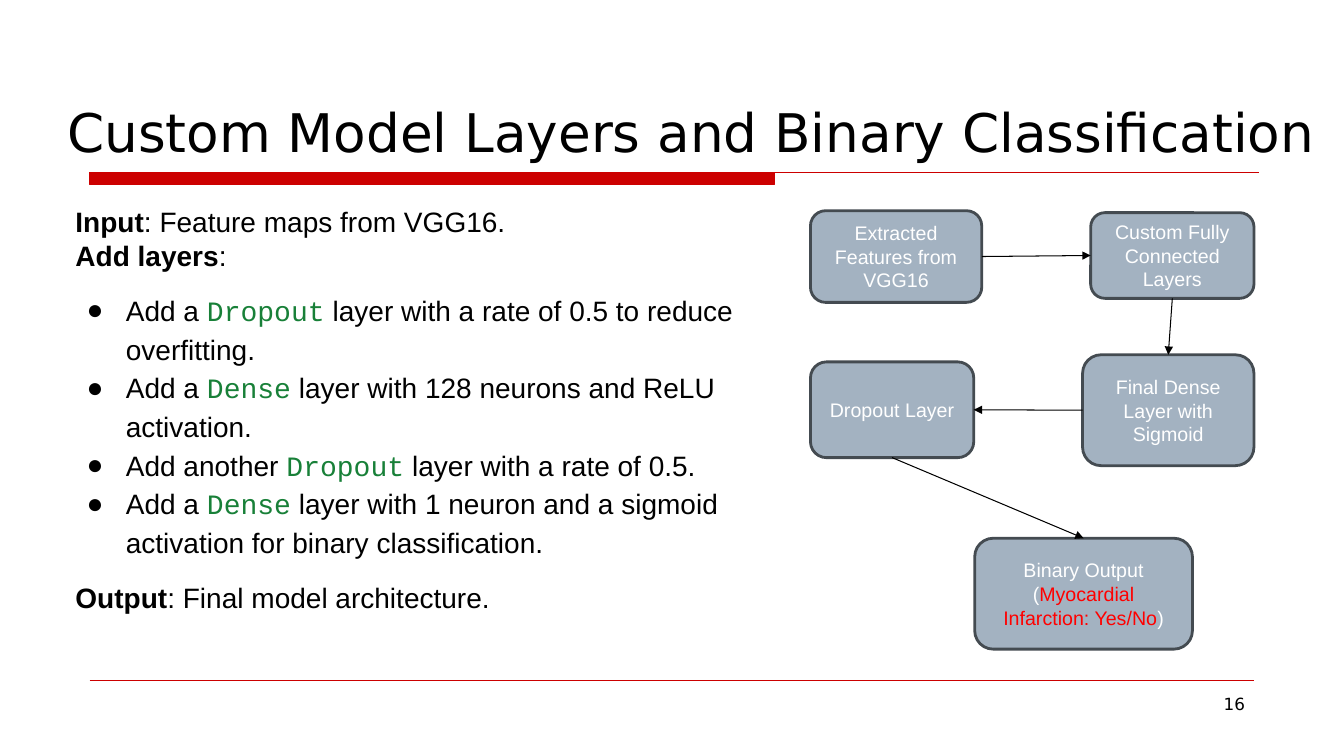
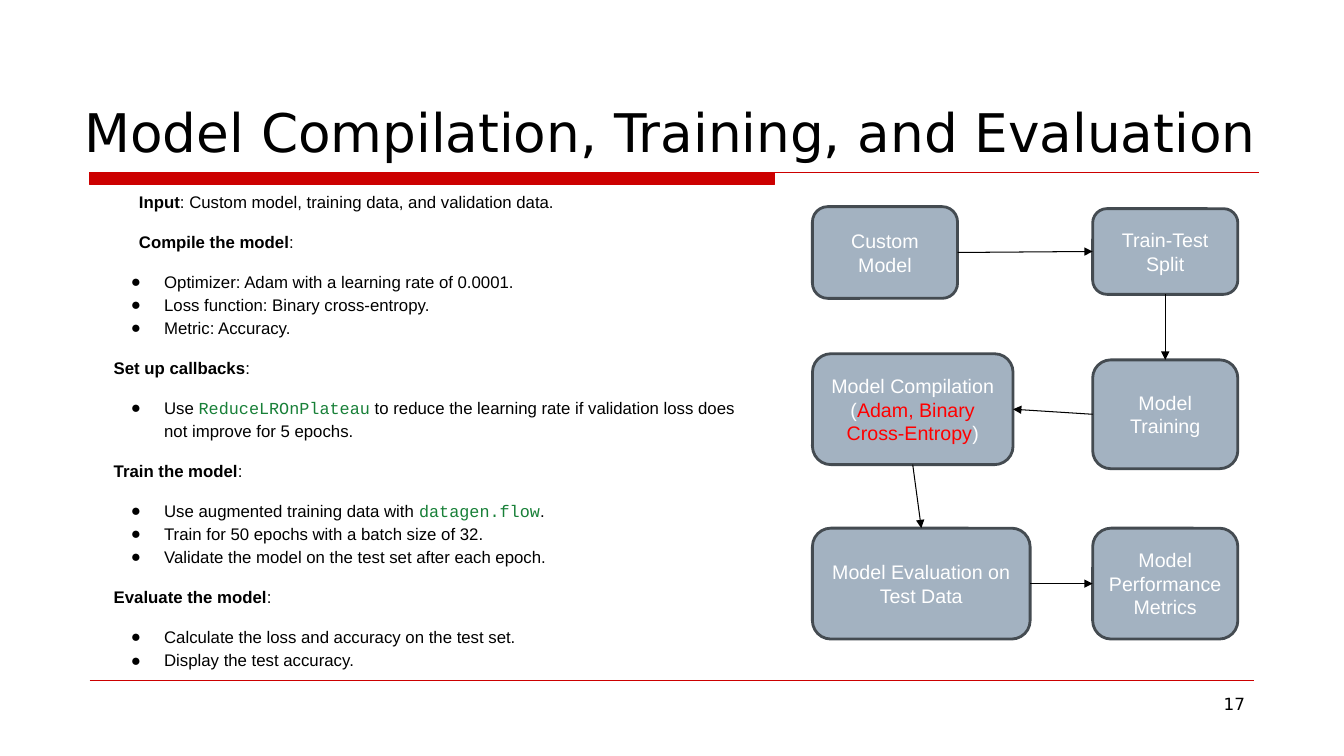
from dataclasses import dataclass
from enum import Enum
from typing import NamedTuple

from lxml import etree
from pptx import Presentation
from pptx import util as u
from pptx.dml.color import RGBColor
from pptx.enum import shapes, text
from pptx.oxml.ns import qn

CELL = u.Inches(0.1)
COLUMNS, ROWS = 133.33, 75
BLACK = RGBColor(0x00, 0x00, 0x00)
WHITE = RGBColor(0xFF, 0xFF, 0xFF)
BAND_RED = RGBColor(0xCC, 0x00, 0x00)
ALERT_RED = RGBColor(0xFF, 0x00, 0x00)
CODE_GREEN = RGBColor(0x18, 0x80, 0x38)
NODE_FILL = RGBColor(0xA3, 0xB2, 0xC1)
NODE_LINE = RGBColor(0x44, 0x4B, 0x51)
TITLE_FONT, BODY_FONT, CODE_FONT = "DejaVu Sans", "Arial", "Courier New"
TOP, LEFT, BOTTOM, RIGHT = range(4)
FIRST_NUMBER = 16


class Style(Enum):
    PLAIN = "plain"
    STRONG = "strong"
    CODE = "code"
    ALERT = "alert"


class Box(NamedTuple):
    column: float
    row: float
    columns: float
    rows: float


class Span(NamedTuple):
    text: str
    style: Style = Style.PLAIN


@dataclass(frozen=True)
class Line:
    spans: tuple[Span, ...]
    before: float = 0
    spacing: float = 1.15
    hanging: float = 0
    bulleted: bool = False


@dataclass(frozen=True)
class Node:
    box: Box
    spans: tuple[Span, ...]


class Arrow(NamedTuple):
    start: int
    start_side: int
    end: int
    end_side: int


@dataclass(frozen=True)
class Page:
    title: str
    title_column: float
    body: Box
    size: float
    lines: tuple[Line, ...]
    nodes: tuple[Node, ...]
    arrows: tuple[Arrow, ...]


def cells(count: float) -> int:
    return round(count * CELL)


def place(box: Box) -> list[int]:
    return [cells(length) for length in box]


def code(words: str) -> Span:
    return Span(words, Style.CODE)


def label(name: str, rest: str = ":", **layout) -> Line:
    return Line((Span(name, Style.STRONG), Span(rest)), **layout)


def bullets(hanging: float, *items: tuple[Span, ...]) -> tuple[Line, ...]:
    return tuple(
        Line(spans, before=0 if index else 12, hanging=hanging, bulleted=True)
        for index, spans in enumerate(items)
    )


def node(column: float, row: float, columns: float, rows: float,
         words: str, alert: str = "") -> Node:
    spans = (Span(words),)
    if alert:
        spans += (Span(alert, Style.ALERT), Span(")"))
    return Node(Box(column, row, columns, rows), spans)


def format_run(run, size: float, color: RGBColor, font: str) -> None:
    run.font.size = u.Pt(size)
    run.font.name = font
    run.font.color.rgb = color


def write_spans(paragraph, spans: tuple[Span, ...], size: float, color: RGBColor) -> None:
    colors = {Style.CODE: CODE_GREEN, Style.ALERT: ALERT_RED}
    for span in spans:
        run = paragraph.add_run()
        run.text = span.text
        font = CODE_FONT if span.style is Style.CODE else BODY_FONT
        format_run(run, size, colors.get(span.style, color), font)
        run.font.bold = span.style is Style.STRONG


def add_bullet(paragraph) -> None:
    properties = paragraph._p.get_or_add_pPr()
    color = etree.SubElement(properties, qn("a:buClr"))
    etree.SubElement(color, qn("a:srgbClr"), val=str(BLACK))
    etree.SubElement(properties, qn("a:buFont"), typeface=BODY_FONT)
    etree.SubElement(properties, qn("a:buChar"), char="●")


def add_line(slide, color: RGBColor, start: tuple[float, float] = (0, 0),
             end: tuple[float, float] = (0, 0)):
    connector = slide.shapes.add_connector(
        shapes.MSO_CONNECTOR.STRAIGHT, *map(cells, start + end))
    connector.line.color.rgb = color
    connector.line.width = u.Pt(0.75)
    etree.SubElement(connector._element.spPr, qn("a:effectLst"))
    return connector


def add_caption(slide, box: Box, words: str, size: float, anchor, alignment) -> None:
    frame = slide.shapes.add_textbox(*place(box)).text_frame
    frame.word_wrap = True
    frame.vertical_anchor = anchor
    frame.text = words
    paragraph = frame.paragraphs[0]
    paragraph.alignment = alignment
    format_run(paragraph.runs[0], size, BLACK, TITLE_FONT)


def add_shape(slide, kind, box: Box, fill: RGBColor, line: RGBColor, width: float):
    shape = slide.shapes.add_shape(kind, *place(box))
    shape.shadow.inherit = False
    shape.fill.solid()
    shape.fill.fore_color.rgb = fill
    shape.line.color.rgb = line
    shape.line.width = u.Pt(width)
    return shape


def add_frame(slide, page: Page, number: int) -> None:
    band = Box(8.9, 17.1, 67.9, 1.2)
    add_shape(slide, shapes.MSO_SHAPE.RECTANGLE, band, BAND_RED, BAND_RED, 0.75)
    add_line(slide, BAND_RED, (8.9, 17.1), (124.9, 17.1))
    add_line(slide, BAND_RED, (8.9, 67.5), (124.4, 67.5))
    title = Box(page.title_column, 3.4, COLUMNS - page.title_column, 13.3)
    add_caption(slide, title, page.title, 38,
                text.MSO_ANCHOR.BOTTOM, text.PP_ALIGN.LEFT)
    add_caption(slide, Box(95.6, 68.3, 28.9, 5.2), str(number), 12,
                text.MSO_ANCHOR.TOP, text.PP_ALIGN.RIGHT)


def add_body(slide, page: Page) -> None:
    frame = slide.shapes.add_textbox(*place(page.body)).text_frame
    frame.word_wrap = True
    for index, line in enumerate(page.lines):
        paragraph = frame.add_paragraph() if index else frame.paragraphs[0]
        paragraph.line_spacing = line.spacing
        paragraph.space_before = u.Pt(line.before)
        if line.hanging:
            properties = paragraph._p.get_or_add_pPr()
            properties.set("marL", str(cells(5)))
            properties.set("indent", str(-cells(line.hanging)))
        if line.bulleted:
            add_bullet(paragraph)
        write_spans(paragraph, line.spans, page.size, BLACK)


def add_node(slide, item: Node):
    shape = add_shape(slide, shapes.MSO_SHAPE.ROUNDED_RECTANGLE, item.box,
                      NODE_FILL, NODE_LINE, 2)
    frame = shape.text_frame
    frame.word_wrap = True
    frame.vertical_anchor = text.MSO_ANCHOR.MIDDLE
    paragraph = frame.paragraphs[0]
    paragraph.alignment = text.PP_ALIGN.CENTER
    write_spans(paragraph, item.spans, 14, WHITE)
    return shape


def add_flow(slide, page: Page) -> None:
    drawn = [add_node(slide, item) for item in page.nodes]
    for arrow in page.arrows:
        connector = add_line(slide, BLACK)
        connector.begin_connect(drawn[arrow.start], arrow.start_side)
        connector.end_connect(drawn[arrow.end], arrow.end_side)
        line = connector.line._get_or_add_ln()
        etree.SubElement(line, qn("a:tailEnd"), type="triangle")


FLOW = (
    Arrow(0, RIGHT, 1, LEFT),
    Arrow(1, BOTTOM, 2, TOP),
    Arrow(2, LEFT, 3, RIGHT),
    Arrow(3, BOTTOM, 4, TOP),
)

PAGES = (
    Page(
        "Custom Model Layers and Binary Classification", 5.7,
        Box(6.5, 19.8, 70.8, 41.6), 20,
        (
            label("Input", ": Feature maps from VGG16.", spacing=1.0),
            label("Add layers", spacing=1.0),
            *bullets(
                3.9,
                (Span("Add a "), code("Dropout"),
                 Span(" layer with a rate of 0.5 to reduce overfitting.")),
                (Span("Add a "), code("Dense"),
                 Span(" layer with 128 neurons and ReLU activation.")),
                (Span("Add another "), code("Dropout"),
                 Span(" layer with a rate of 0.5.")),
                (Span("Add a "), code("Dense"),
                 Span(" layer with 1 neuron and a sigmoid activation for binary classification.")),
            ),
            label("Output", ": Final model architecture.", before=12),
        ),
        (
            node(80.4, 20.9, 17, 9.1, "Extracted Features from VGG16"),
            node(108.2, 21.1, 16.2, 8.5, "Custom Fully Connected Layers"),
            node(107.4, 35.2, 17, 11, "Final Dense Layer with Sigmoid"),
            node(80.4, 35.9, 16.2, 9.5, "Dropout Layer"),
            node(96.7, 53.4, 21.6, 11, "Binary Output (", "Myocardial Infarction: Yes/No"),
        ),
        FLOW,
    ),
    Page(
        "Model Compilation, Training, and Evaluation", 7.4,
        Box(10.3, 18.2, 65.2, 49), 12,
        (
            label("Input", ": Custom model, training data, and validation data.",
                  before=12, hanging=2.5),
            label("Compile the model", before=12, hanging=2.5),
            *bullets(
                3.3,
                (Span("Optimizer: Adam with a learning rate of 0.0001."),),
                (Span("Loss function: Binary cross-entropy."),),
                (Span("Metric: Accuracy."),),
            ),
            label("Set up callbacks", before=12),
            *bullets(
                3.3,
                (Span("Use "), code("ReduceLROnPlateau"),
                 Span(" to reduce the learning rate if validation loss does not improve for 5 epochs.")),
            ),
            label("Train the model", before=12),
            *bullets(
                3.3,
                (Span("Use augmented training data with "), code("datagen.flow"), Span(".")),
                (Span("Train for 50 epochs with a batch size of 32."),),
                (Span("Validate the model on the test set after each epoch."),),
            ),
            label("Evaluate the model", before=12),
            *bullets(
                3.3,
                (Span("Calculate the loss and accuracy on the test set."),),
                (Span("Display the test accuracy."),),
            ),
        ),
        (
            node(80.6, 20.5, 14.4, 9.1, "Custom Model"),
            node(108.4, 20.7, 14.4, 8.5, "Train-Test Split"),
            node(108.4, 35.7, 14.4, 10.8, "Model Training"),
            node(80.6, 35.1, 19.9, 11, "Model Compilation (", "Adam, Binary Cross-Entropy"),
            node(80.6, 52.4, 21.6, 11, "Model Evaluation on Test Data"),
            node(108.4, 52.4, 14.4, 11, "Model Performance Metrics"),
        ),
        FLOW + (Arrow(4, RIGHT, 5, LEFT),),
    ),
)


def main() -> None:
    presentation = Presentation()
    presentation.slide_width = cells(COLUMNS)
    presentation.slide_height = cells(ROWS)
    for number, page in enumerate(PAGES, FIRST_NUMBER):
        slide = presentation.slides.add_slide(presentation.slide_layouts[6])
        add_frame(slide, page, number)
        add_body(slide, page)
        add_flow(slide, page)
    presentation.save("out.pptx")


if __name__ == "__main__":
    main()
